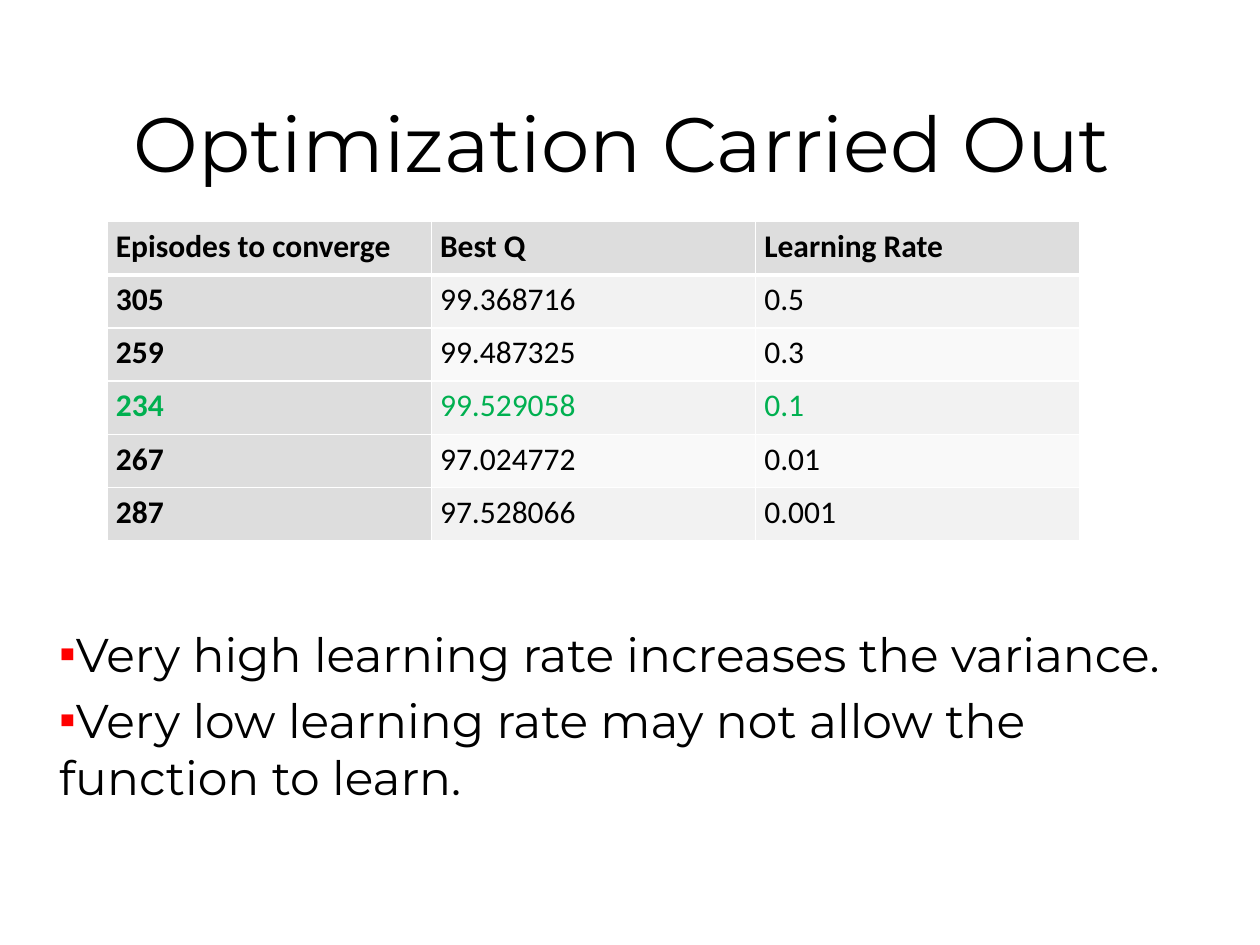
from dataclasses import dataclass

import lxml.etree
import pptx
import pptx.dml.color
import pptx.enum.text
import pptx.oxml.ns
import pptx.util
from pptx.dml.color import RGBColor
from pptx.util import Inches

BLACK = RGBColor(0x00, 0x00, 0x00)
WHITE = RGBColor(0xFF, 0xFF, 0xFF)
GREEN = RGBColor(0x00, 0xB0, 0x50)
RED = RGBColor(0xFF, 0x00, 0x00)
HEADING_GREY = RGBColor(0xDD, 0xDD, 0xDD)
BAND_GREYS = (RGBColor(0xF9, 0xF9, 0xF9), RGBColor(0xF2, 0xF2, 0xF2))


@dataclass(frozen=True)
class Trial:
    episodes: str
    best_q: str
    learning_rate: str
    color: RGBColor = BLACK


TRIALS = (
    Trial("Episodes to converge", "Best Q", "Learning Rate"),
    Trial("305", "99.368716", "0.5"),
    Trial("259", "99.487325", "0.3"),
    Trial("234", "99.529058", "0.1", GREEN),
    Trial("267", "97.024772", "0.01"),
    Trial("287", "97.528066", "0.001"),
)
FINDINGS = (
    "Very high learning rate increases the variance.",
    "Very low learning rate may not allow the function to learn.",
)


def add_element(parent, tag: str, **attributes: str):
    element = lxml.etree.SubElement(parent, pptx.oxml.ns.qn(tag))
    for name, value in attributes.items():
        element.set(name, value)
    return element


def format_text(para, font: str, size: float, color: RGBColor, bold: bool = False) -> None:
    for span in para.runs:
        span.font.name = font
        span.font.size = pptx.util.Pt(size)
        span.font.color.rgb = color
        span.font.bold = bold


def place(box, left: float, top: float, width: float, height: float) -> None:
    box.left, box.top = Inches(left), Inches(top)
    box.width, box.height = Inches(width), Inches(height)
    box.text_frame.word_wrap = True
    box.text_frame.auto_size = pptx.enum.text.MSO_AUTO_SIZE.NONE


def add_borders(cell, bottom_width: float) -> None:
    properties = cell._tc.get_or_add_tcPr()
    for side in "LRTB":
        width = bottom_width if side == "B" else 1
        line = add_element(properties, f"a:ln{side}", w=str(pptx.util.Pt(width)))
        add_element(add_element(line, "a:solidFill"), "a:srgbClr", val=str(WHITE))


def fill_cell(cell, text: str, trial: Trial, row: int, column: int) -> None:
    heading = row == 0 or column == 0
    add_borders(cell, 3 if row == 0 else 1)
    cell.fill.solid()
    cell.fill.fore_color.rgb = HEADING_GREY if heading else BAND_GREYS[row % 2]
    cell.margin_left = cell.margin_right = Inches(0.07)
    cell.margin_top = cell.margin_bottom = 0
    para = cell.text_frame.paragraphs[0]
    para.text = text
    para.line_spacing = 1.15
    format_text(para, "Calibri", 18, trial.color, heading)


def add_trials(page) -> None:
    table = page.shapes.add_table(
        len(TRIALS), 3, Inches(0.85), Inches(1.76), Inches(7.72), Inches(2.53)
    ).table
    for row, trial in enumerate(TRIALS):
        values = (trial.episodes, trial.best_q, trial.learning_rate)
        for column, value in enumerate(values):
            fill_cell(table.cell(row, column), value, trial, row, column)


def add_title(page) -> None:
    title = page.shapes.title
    place(title, 0.5, 0.3, 8.88, 1.24)
    title.text_frame.text = "Optimization Carried Out"
    title.text_frame.vertical_anchor = pptx.enum.text.MSO_ANCHOR.BOTTOM
    para = title.text_frame.paragraphs[0]
    para.alignment = pptx.enum.text.PP_ALIGN.CENTER
    format_text(para, "Montserrat", 44, BLACK)


def add_findings(page) -> None:
    body = page.placeholders[1]
    place(body, 0.37, 4.91, 9.01, 1.79)
    body.text_frame.text = "\n".join(FINDINGS)
    for para in body.text_frame.paragraphs:
        para.space_before = pptx.util.Pt(5.4)
        format_text(para, "Montserrat", 27, BLACK)
        properties = para._p.get_or_add_pPr()
        properties.set("marL", "0")
        properties.set("indent", str(Inches(-0.25)))
        add_element(add_element(properties, "a:buClr"), "a:srgbClr", val=str(RED))
        add_element(properties, "a:buChar", char="▪")


def main() -> None:
    deck = pptx.Presentation()
    deck.slide_width, deck.slide_height = Inches(10), Inches(7.5)
    page = deck.slides.add_slide(deck.slide_layouts[1])
    add_title(page)
    add_trials(page)
    add_findings(page)
    deck.save("out.pptx")


if __name__ == "__main__":
    main()
